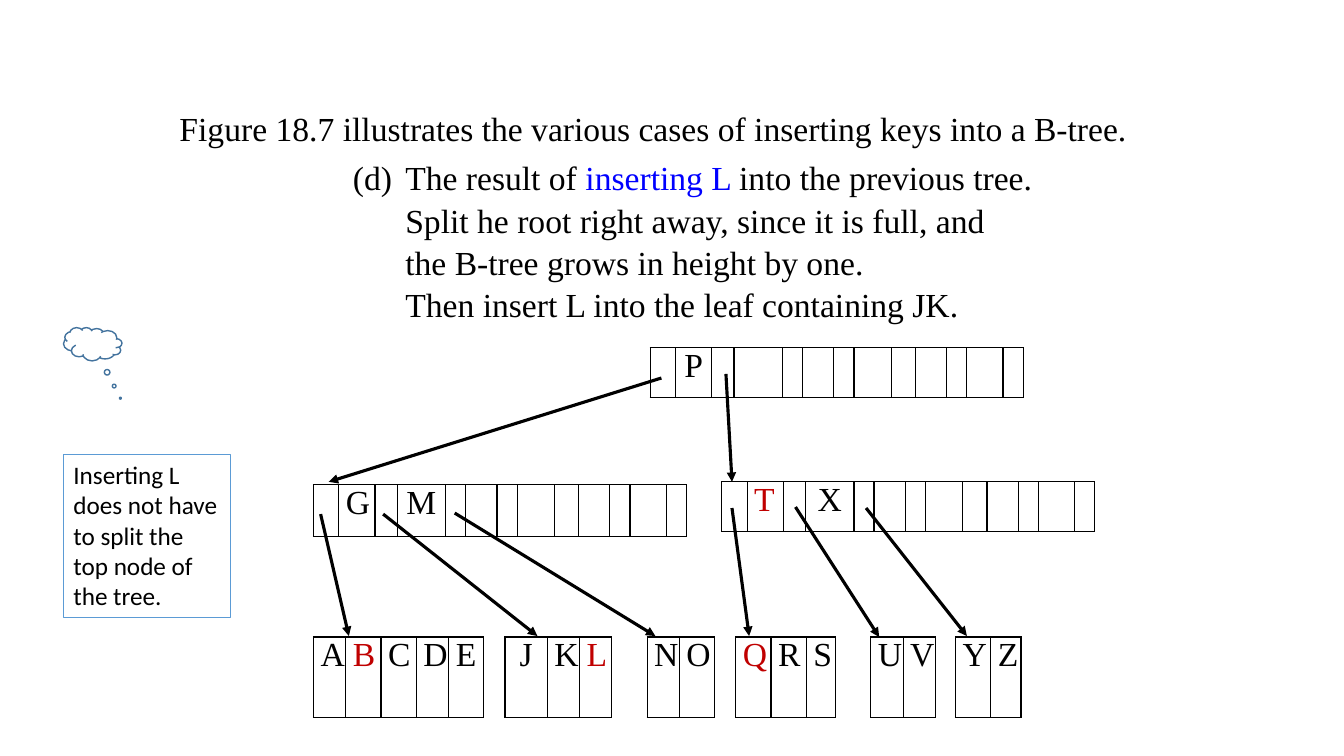
from dataclasses import dataclass

from lxml import etree
from pptx import Presentation
from pptx.dml.color import RGBColor
from pptx.enum.shapes import MSO_CONNECTOR, MSO_SHAPE
from pptx.enum.text import MSO_ANCHOR, MSO_AUTO_SIZE, PP_ALIGN
from pptx.oxml.ns import qn
from pptx.util import Inches, Pt

STRAIGHT = MSO_CONNECTOR.STRAIGHT
CLOUD = MSO_SHAPE.CLOUD_CALLOUT
TOP = MSO_ANCHOR.TOP
NO_AUTOFIT = MSO_AUTO_SIZE.NONE
LEFT = PP_ALIGN.LEFT
CENTER = PP_ALIGN.CENTER


@dataclass(frozen=True)
class Theme:
    ink: str = "000000"
    paper: str = "FFFFFF"
    new_key: str = "C00000"
    emphasis: str = "0000FF"
    cloud_line: str = "43739E"
    note_line: str = "5B9BD5"
    serif: str = "Times New Roman"
    sans: str = "Calibri"
    text_size: int = 24
    note_size: int = 18
    line_spacing: float = 1.05


@dataclass(frozen=True)
class Node:
    left: float
    top: float
    height: float
    widths: tuple[float, ...]
    keys: str
    gaps: bool = False


@dataclass(frozen=True)
class Arrow:
    start_x: float
    start_y: float
    end_x: float
    end_y: float


THEME = Theme()
NEW_KEYS = "BLQT"
LIST_INDENT = 0.52
INNER_WIDTHS = (0.25, 0.36, 0.22, 0.48, 0.2, 0.31, 0.2, 0.37, 0.24, 0.31, 0.2, 0.36, 0.2)
LEAF_WIDTHS = (0.32, 0.35, 0.35, 0.32, 0.35, 0.21, 0.42, 0.32, 0.32, 0.35, 0.32,
               0.35, 0.21, 0.35, 0.35, 0.29, 0.35, 0.32, 0.32, 0.2, 0.35, 0.3)

NODES = (
    Node(6.45, 3.45, 0.49, INNER_WIDTHS, " P"),
    Node(3.11, 4.81, 0.51, INNER_WIDTHS, " G M"),
    Node(7.16, 4.78, 0.49, INNER_WIDTHS, " T X"),
    Node(3.11, 6.32, 0.8, LEAF_WIDTHS, "ABCDE JKL NO QRS UV YZ", gaps=True),
)
ARROWS = (
    Arrow(6.56, 3.75, 3.26, 4.78),
    Arrow(7.2, 3.71, 7.26, 4.78),
    Arrow(3.18, 5.1, 3.46, 6.31),
    Arrow(3.8, 5.1, 5.33, 6.31),
    Arrow(4.51, 5.09, 6.5, 6.31),
    Arrow(7.26, 5.04, 7.43, 6.31),
    Arrow(7.89, 5.03, 8.72, 6.32),
    Arrow(8.59, 5.04, 9.59, 6.31),
)
HEADING = "Figure 18.7 illustrates the various cases of inserting keys into a B-tree."
STEP_PARTS = ("The result of ", "inserting L ", "into the previous tree.")
EXPLANATION = (
    "Split he root right away, since it is full, and",
    "the B-tree grows in height by one.",
    "Then insert L into the leaf containing JK.",
)
NOTE = "Inserting L does not have to split the top node of the tree."


def style_font(font, size: int, name: str, color: str) -> None:
    font.size = Pt(size)
    font.name = name
    font.bold = False
    font.color.rgb = RGBColor.from_string(color)


def place(shape, left: float, top: float, width: float, height: float) -> None:
    shape.left, shape.top = Inches(left), Inches(top)
    shape.width, shape.height = Inches(width), Inches(height)
    text_frame = shape.text_frame
    text_frame.word_wrap = True
    text_frame.auto_size = NO_AUTOFIT
    text_frame.vertical_anchor = TOP


def style_paragraph(paragraph) -> None:
    paragraph.alignment = LEFT
    paragraph.space_before = Pt(0)
    paragraph.line_spacing = THEME.line_spacing
    for run in paragraph.runs:
        style_font(run.font, THEME.text_size, THEME.serif, THEME.ink)


def indent_paragraph(paragraph, numbered: bool) -> None:
    properties = paragraph._p.get_or_add_pPr()
    properties.set("marL", str(Inches(LIST_INDENT)))
    properties.set("indent", str(-Inches(LIST_INDENT) if numbered else 0))
    if numbered:
        bullet_font = etree.SubElement(properties, qn("a:buFont"))
        bullet_font.set("typeface", THEME.serif)
        bullet = etree.SubElement(properties, qn("a:buAutoNum"))
        bullet.set("type", "alphaLcParenBoth")
        bullet.set("startAt", "4")
    else:
        etree.SubElement(properties, qn("a:buNone"))


def add_explanation(slide) -> None:
    title = slide.shapes.title
    place(title, 1.68, 1, 10.45, 0.48)
    title.text_frame.text = HEADING
    style_paragraph(title.text_frame.paragraphs[0])

    body = slide.placeholders[1]
    place(body, 3.4, 1.49, 8.73, 1.7)
    text_frame = body.text_frame
    text_frame.text = "\n".join(("",) + EXPLANATION)
    step = text_frame.paragraphs[0]
    for part in STEP_PARTS:
        step.add_run().text = part
    for index, paragraph in enumerate(text_frame.paragraphs):
        indent_paragraph(paragraph, numbered=index == 0)
        style_paragraph(paragraph)
    step.runs[1].font.color.rgb = RGBColor.from_string(THEME.emphasis)


def set_border(cell, side: str, color: str, points: float) -> None:
    line = etree.SubElement(cell._tc.get_or_add_tcPr(), qn(f"a:ln{side}"))
    line.set("w", str(Pt(points)))
    fill = etree.SubElement(line, qn("a:solidFill"))
    etree.SubElement(fill, qn("a:srgbClr")).set("val", color)


def add_node(slide, node: Node) -> None:
    frame = slide.shapes.add_table(
        1, len(node.widths), Inches(node.left), Inches(node.top),
        Inches(sum(node.widths)), Inches(node.height))
    table = frame.table
    table.first_row = False
    table.horz_banding = False
    table.rows[0].height = Inches(node.height)
    for index, width in enumerate(node.widths):
        table.columns[index].width = Inches(width)
        cell = table.cell(0, index)
        key = node.keys[index:index + 1].strip()
        is_gap = node.gaps and not key
        for side in "LRTB":
            hidden = is_gap and side in "TB"
            set_border(cell, side, THEME.paper if hidden else THEME.ink,
                       3 if is_gap and side == "B" else 1)
        cell.fill.solid()
        cell.fill.fore_color.rgb = RGBColor.from_string(THEME.paper)
        cell.margin_left = cell.margin_right = Inches(0.07)
        cell.margin_top = cell.margin_bottom = 0
        if key:
            is_new = key in NEW_KEYS
            cell.text_frame.text = key
            paragraph = cell.text_frame.paragraphs[0]
            paragraph.alignment = LEFT if is_new else CENTER
            style_font(paragraph.runs[0].font, THEME.text_size, THEME.serif,
                       THEME.new_key if is_new else THEME.ink)


def add_arrow(slide, arrow: Arrow) -> None:
    connector = slide.shapes.add_connector(
        STRAIGHT, Inches(arrow.start_x), Inches(arrow.start_y),
        Inches(arrow.end_x), Inches(arrow.end_y))
    connector.line.width = Pt(2.25)
    connector.line.color.rgb = RGBColor.from_string(THEME.ink)
    line = connector.line._get_or_add_ln()
    etree.SubElement(line, qn("a:tailEnd")).set("type", "triangle")
    etree.SubElement(connector._element.spPr, qn("a:effectLst"))


def add_note(slide) -> None:
    cloud = slide.shapes.add_shape(
        CLOUD, Inches(0.63), Inches(3.25), Inches(0.58), Inches(0.33))
    cloud.shadow.inherit = False
    cloud.adjustments[0] = -0.473
    cloud.adjustments[1] = 1.625
    cloud._element.spPr.xfrm.set("flipH", "1")
    cloud.fill.solid()
    cloud.fill.fore_color.rgb = RGBColor.from_string(THEME.paper)
    cloud.line.color.rgb = RGBColor.from_string(THEME.cloud_line)
    cloud.line.width = Pt(1)

    note = slide.shapes.add_textbox(0, 0, 0, 0)
    place(note, 0.63, 4.51, 1.66, 1.62)
    note.line.color.rgb = RGBColor.from_string(THEME.note_line)
    note.line.width = Pt(0.75)
    note.text_frame.text = NOTE
    style_font(note.text_frame.paragraphs[0].runs[0].font,
               THEME.note_size, THEME.sans, THEME.ink)


def main() -> None:
    presentation = Presentation()
    presentation.slide_width = Inches(13.33)
    presentation.slide_height = Inches(7.5)
    slide = presentation.slides.add_slide(presentation.slide_layouts[1])
    add_explanation(slide)
    for node in NODES:
        add_node(slide, node)
    for arrow in ARROWS:
        add_arrow(slide, arrow)
    add_note(slide)
    presentation.save("out.pptx")


if __name__ == "__main__":
    main()
